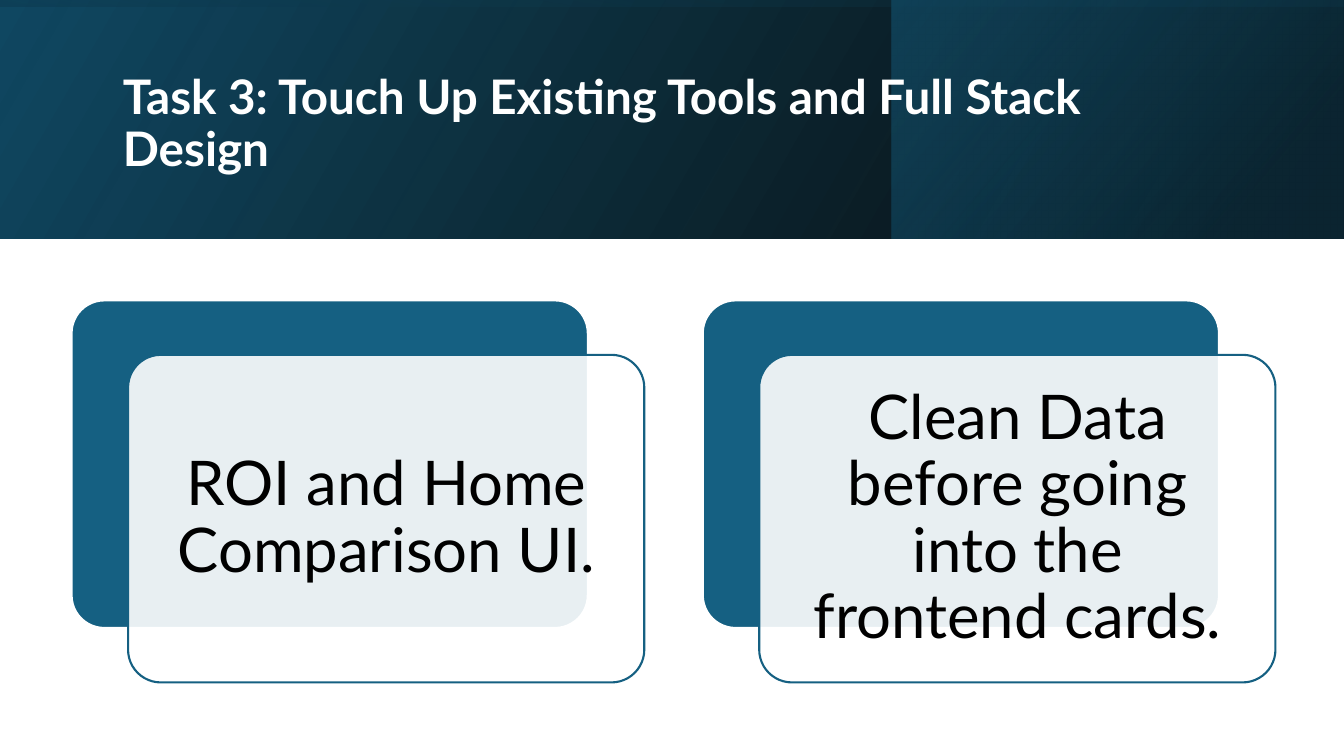
"""Build the Task 3 slide: a layered gradient banner above two offset cards."""
from dataclasses import dataclass

from lxml import etree
from pptx import Presentation
from pptx import util as u
from pptx.dml import color as dml
from pptx.enum import shapes, text
from pptx.oxml import ns

WHITE, BLACK, BLUE, NAVY = "FFFFFF", "000000", "156082", "104862"
CARD_STEP = 6.26
CARD_SIZE = (5.12, 3.25)


@dataclass(frozen=True)
class Stop:
    position: float
    color: str
    alpha: int


@dataclass(frozen=True)
class Band:
    box: tuple
    stops: tuple
    angle: int
    rotation: int = 0


@dataclass(frozen=True)
class Label:
    box: tuple
    words: str
    frame: dict
    para: dict
    font: dict


BANDS = (
    Band((0, 0, 13.33, 2.37), (Stop(0, BLACK, 96), Stop(1, NAVY, 96 + 4)), 30),
    Band((8.84, 0, 4.48, 2.37), (Stop(0.19, "0B3041", 68), Stop(1, BLUE, 48)), 40),
    Band((5.48, -5.48, 2.37, 13.33), (Stop(0.23, NAVY, 16), Stop(0.99, BLACK, 45)), 10, 270),
)
TITLE = Label(
    (1.12, 0.38, 11.02, 1.72),
    "Task 3: Touch Up Existing Tools and Full Stack Design",
    {},
    {"alignment": text.PP_ALIGN.LEFT},
    {"size": u.Pt(34), "bold": True},
)
CARDS = ("ROI and Home Comparison UI.", "Clean Data before going into the frontend cards.")
CARD_INSETS = {f"margin_{side}": u.Inches(0.18) for side in ("left", "top", "right", "bottom")}


def rgb(value: str) -> dml.RGBColor:
    """Turn a hex string into a colour."""
    return dml.RGBColor.from_string(value)


def inches(box: tuple) -> list:
    """Turn numbers into lengths."""
    return [u.Inches(value) for value in box]


def apply(target, values: dict) -> None:
    """Set every attribute named in a dict of format values."""
    for name, value in values.items():
        setattr(target, name, value)


def set_alphas(shape, alphas: list) -> None:
    """Give the fill colours of a shape their opacity in percent."""
    colors = shape._element.spPr.iter(ns.qn("a:srgbClr"))
    for node, alpha in zip(colors, alphas):
        if alpha < 100:
            etree.SubElement(node, ns.qn("a:alpha"), val=str(alpha * 1000))


def add_band(page, band: Band) -> None:
    """Draw one mirrored gradient layer of the banner."""
    shape = page.shapes.add_shape(shapes.MSO_SHAPE.RECTANGLE, *inches(band.box))
    shape.shadow.inherit = False
    shape.rotation = band.rotation
    shape._element.spPr.xfrm.set("flipH", "1")
    shape.line.fill.background()
    shape.fill.gradient()
    shape.fill.gradient_angle = band.angle
    for target, stop in zip(shape.fill.gradient_stops, band.stops):
        target.position = stop.position
        target.color.rgb = rgb(stop.color)
    set_alphas(shape, [stop.alpha for stop in band.stops])


def add_card(page, left: float, top: float, fill: str, line: str, alpha: int) -> None:
    """Draw one rounded card layer."""
    shape = page.shapes.add_shape(
        shapes.MSO_SHAPE.ROUNDED_RECTANGLE, *inches((left, top, *CARD_SIZE)))
    shape.shadow.inherit = False
    shape.adjustments[0] = 0.1
    shape.fill.solid()
    shape.fill.fore_color.rgb = rgb(fill)
    set_alphas(shape, [alpha])
    shape.line.color.rgb = rgb(line)
    shape.line.width = u.Pt(1.5)


def add_label(page, label: Label, color: str) -> None:
    """Write one wrapped, vertically centred text."""
    frame = page.shapes.add_textbox(*inches(label.box)).text_frame
    middle = {"word_wrap": True, "vertical_anchor": text.MSO_ANCHOR.MIDDLE}
    apply(frame, middle | label.frame)
    para = frame.paragraphs[0]
    apply(para, {"line_spacing": 0.9} | label.para)
    span = para.add_run()
    span.text = label.words
    apply(span.font, {"name": "Lato"} | label.font)
    span.font.color.rgb = rgb(color)


def main() -> None:
    """Assemble and save the deck."""
    deck = Presentation()
    apply(deck, {"slide_width": u.Inches(13.33), "slide_height": u.Inches(7.5)})
    page = deck.slides.add_slide(deck.slide_layouts[6])
    for band in BANDS:
        add_band(page, band)
    add_label(page, TITLE, WHITE)
    for index, words in enumerate(CARDS):
        left = 0.71 + index * CARD_STEP
        add_card(page, left, 2.98, BLUE, WHITE, 100)
        add_card(page, left + 0.56, 3.52, WHITE, BLUE, 90)
        label = Label((left + 0.66, 3.62, 4.93, 3.06), words, CARD_INSETS,
                      {"alignment": text.PP_ALIGN.CENTER}, {"size": u.Pt(44)})
        add_label(page, label, BLACK)
    deck.save("out.pptx")


if __name__ == "__main__":
    main()
